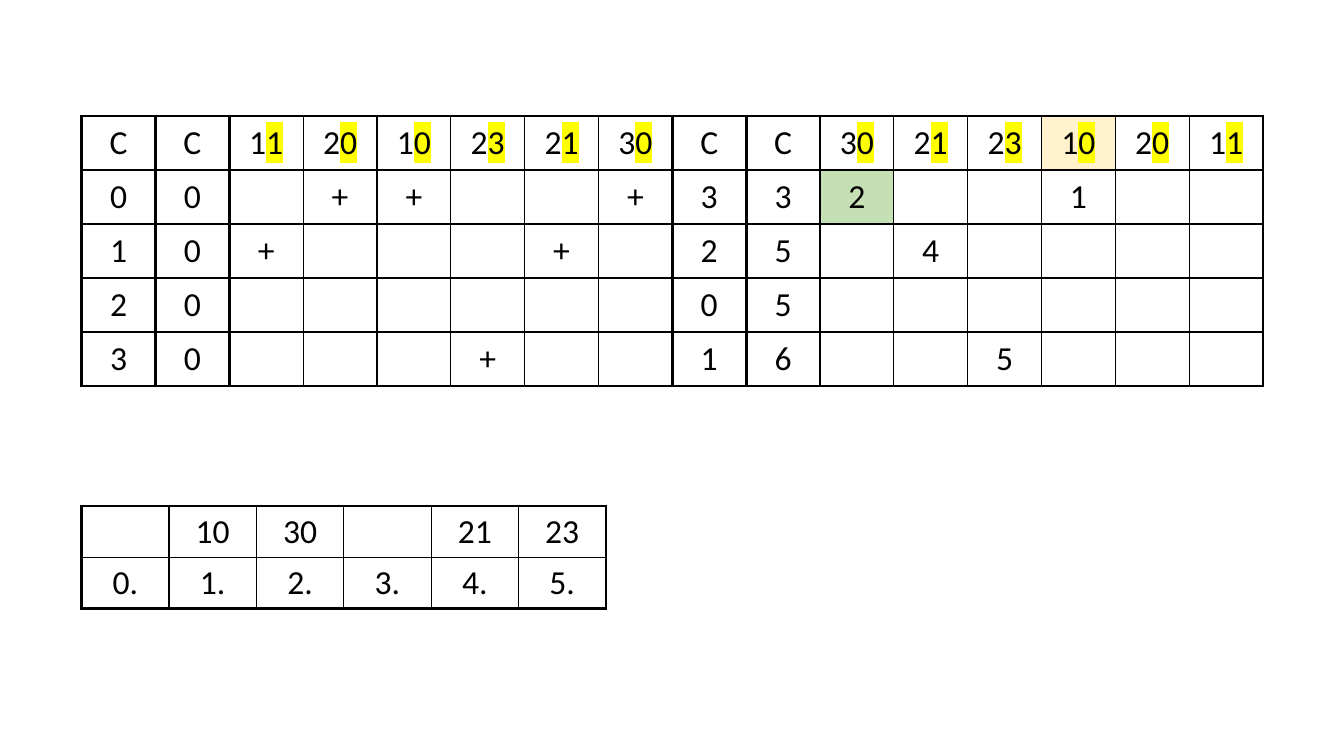
from dataclasses import dataclass
from itertools import product

from lxml.etree import SubElement
from pptx import Presentation
from pptx.dml.color import RGBColor as Rgb
from pptx.enum.text import MSO_ANCHOR as Anchor, PP_ALIGN as Align
from pptx.oxml.ns import qn
from pptx.util import Pt


@dataclass(frozen=True)
class Theme:
    """Colours, type and line weights in one place."""
    ink: str = "000000"
    marker: str = "FFFF00"
    candidate: str = "FFF2CC"
    current: str = "C5E0B4"
    font: str = "Calibri"
    size: int = 24
    thin: float = 1
    thick: float = 2.25


class SlideBuilder:
    """Draws ruled grids on the current slide."""
    EMU_PER_PX = 9144

    def __init__(self, theme, slide):
        self.theme = theme
        self.slide = slide

    def px(self, length):
        """Turn whole pixels into EMU."""
        return length * self.EMU_PER_PX

    def label(self, cell, text, marked):
        """Centre text in a cell, with its last digit marked on request."""
        paragraph = cell.text_frame.paragraphs[0]
        paragraph.alignment = Align.CENTER
        paragraph.font.name = self.theme.font
        paragraph.font.size = Pt(self.theme.size)
        paragraph.font.color.rgb = Rgb.from_string(self.theme.ink)
        if not marked:
            paragraph.add_run().text = text
            return
        paragraph.add_run().text = text[:-1]
        digit = paragraph.add_run()
        digit.text = text[-1]
        highlight = SubElement(digit.font._element, qn("a:highlight"))
        SubElement(highlight, qn("a:srgbClr"), val=self.theme.marker)

    def border(self, cell, weights):
        """Rule the left, right, top and bottom of a cell."""
        properties = cell._tc.get_or_add_tcPr()
        for position, (side, weight) in enumerate(zip("LRTB", weights)):
            line = SubElement(properties, qn(f"a:ln{side}"), w=str(Pt(weight)))
            fill = SubElement(line, qn("a:solidFill"))
            SubElement(fill, qn("a:srgbClr"), val=self.theme.ink)
            properties.insert(position, line)

    def outline(self, blocks):
        """Collect the thick edges around blocks of (top, left, bottom, right)."""
        edges = set()
        for top, left, bottom, right in blocks:
            edges |= set(product("v", range(top, bottom), (left, right)))
            edges |= set(product("h", (top, bottom), range(left, right)))
        return edges

    def grid(self, box, rows, blocks, insets=(10, 5), fills=None, marked=()):
        """Add an evenly divided table with thick outlines around blocks."""
        left, top, width, height = map(self.px, box)
        row_count, column_count = len(rows), len(rows[0])
        table = self.slide.shapes.add_table(
            row_count, column_count, left, top, width, height).table
        table.first_row = table.horz_banding = False
        for column in table.columns:
            column.width = width // column_count
        for row in table.rows:
            row.height = height // row_count
        thick_edges = self.outline(blocks)
        side_inset, end_inset = map(self.px, insets)
        for r, c in product(range(row_count), range(column_count)):
            cell = table.cell(r, c)
            cell.vertical_anchor = Anchor.MIDDLE
            cell.margin_left = cell.margin_right = side_inset
            cell.margin_top = cell.margin_bottom = end_inset
            if fills and (r, c) in fills:
                cell.fill.solid()
                cell.fill.fore_color.rgb = Rgb.from_string(fills[r, c])
            else:
                cell.fill.background()
            edges = ("v", r, c), ("v", r, c + 1), ("h", r, c), ("h", r + 1, c)
            self.border(cell, [self.theme.thick if edge in thick_edges
                               else self.theme.thin for edge in edges])
            if rows[r][c]:
                self.label(cell, rows[r][c], (r, c) in marked)


def main():
    """Build the counting sort slide."""
    deck = Presentation()
    deck.slide_width = SlideBuilder.EMU_PER_PX * 1333
    deck.slide_height = SlideBuilder.EMU_PER_PX * 750
    theme = Theme()
    builder = SlideBuilder(theme, deck.slides.add_slide(deck.slide_layouts[6]))

    keys = ["11", "20", "10", "23", "21", "30"]
    counting = [
        ["C", "C", *keys, "C", "C", *reversed(keys)],
        ["0", "0", "", "+", "+", "", "", "+", "3", "3", "2", "", "", "1", "", ""],
        ["1", "0", "+", "", "", "", "+", "", "2", "5", "", "4", "", "", "", ""],
        ["2", "0", "", "", "", "", "", "", "0", "5", "", "", "", "", "", ""],
        ["3", "0", "", "", "", "+", "", "", "1", "6", "", "", "5", "", "", ""],
    ]
    counters = (0, 1, 8, 9)
    builder.grid(
        (81, 115, 1172, 268), counting,
        blocks=[(0, 0, 1, 16)] + [(0, c, 5, c + 1) for c in counters],
        insets=(13, 6),
        fills={(0, 13): theme.candidate, (1, 10): theme.current},
        marked={(0, c) for c in range(16) if c not in counters})

    placed = ["", "10", "30", "", "21", "23"]
    positions = [f"{index}." for index in range(len(placed))]
    builder.grid((81, 502, 520, 100), [placed, positions], blocks=[(0, 0, 2, 6)])
    deck.save("out.pptx")


if __name__ == "__main__":
    main()
